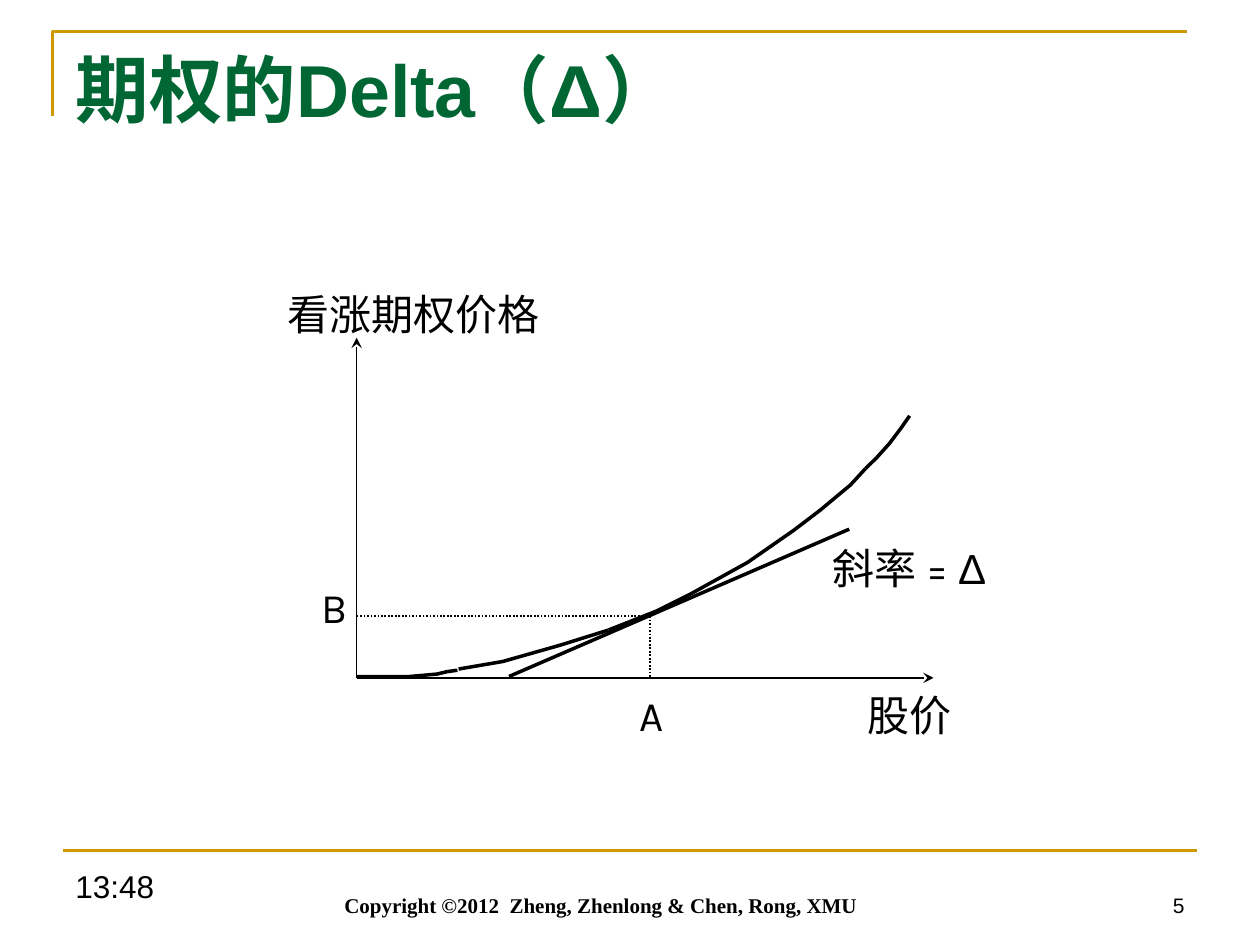
"""Build a slide showing option delta as the slope of the call price curve."""
from lxml import etree
from pptx import Presentation
from pptx.dml.color import RGBColor
from pptx.enum.dml import MSO_LINE
from pptx.enum.shapes import MSO_CONNECTOR
from pptx.enum.text import MSO_ANCHOR, MSO_AUTO_SIZE, PP_ALIGN
from pptx.oxml.ns import qn
from pptx.util import Pt

BLACK = RGBColor(0x00, 0x00, 0x00)
GREEN = RGBColor(0x00, 0x66, 0x33)
GOLD = RGBColor(0xCC, 0x99, 0x00)
STRAIGHT = MSO_CONNECTOR.STRAIGHT
DOTTED = MSO_LINE.ROUND_DOT
TOP, BOTTOM = MSO_ANCHOR.TOP, MSO_ANCHOR.BOTTOM
LEFT, CENTER, RIGHT = PP_ALIGN.LEFT, PP_ALIGN.CENTER, PP_ALIGN.RIGHT
FIXED, GROW = MSO_AUTO_SIZE.NONE, MSO_AUTO_SIZE.SHAPE_TO_FIT_TEXT

ORIGIN_X, ORIGIN_Y = 203.8, 387.4
POINT_A, POINT_B = 371.5, 352.1

prs = Presentation()
prs.slide_width, prs.slide_height = Pt(720), Pt(540)
slide = prs.slides.add_slide(prs.slide_layouts[5])
shapes = slide.shapes


def write(box, runs, frame_format, align, font_format):
    frame = box.text_frame
    for name, value in frame_format.items():
        setattr(frame, name, value)
    paragraph = frame.paragraphs[0]
    paragraph.alignment = align
    for text, font_name, color in runs:
        run = paragraph.add_run()
        run.text = text
        run.font.color.rgb = color
        for name, value in {"name": font_name, **font_format}.items():
            setattr(run.font, name, value)


def draw_path(points, color, width):
    start, *rest = [(Pt(x), Pt(y)) for x, y in points]
    builder = shapes.build_freeform(*start)
    builder.add_line_segments(rest, close=False)
    path_shape = builder.convert_to_shape()
    path_shape.shadow.inherit = False
    path_shape.fill.background()
    path_shape.line.color.rgb = color
    path_shape.line.width = Pt(width)


title = shapes.title
title.left, title.top, title.width, title.height = Pt(36), Pt(21.6), Pt(648), Pt(90)
write(title, [("期权的Delta（Δ）", "Arial", GREEN)],
      {"vertical_anchor": TOP, "auto_size": FIXED, "word_wrap": True},
      LEFT, {"size": Pt(42), "bold": True})

draw_path([(30.2, 66.2), (30.2, 18), (678.2, 18)], GOLD, 1.5)

straight_lines = [
    ((36, 486), (684, 486), GOLD, 1.5, None, False),
    ((ORIGIN_X, ORIGIN_Y), (ORIGIN_X, 193), BLACK, 1, None, True),
    ((ORIGIN_X, ORIGIN_Y), (533.5, ORIGIN_Y), BLACK, 1, None, True),
    ((POINT_A, POINT_B), (POINT_A, ORIGIN_Y), BLACK, 1, DOTTED, False),
    ((POINT_A, POINT_B), (ORIGIN_X, POINT_B), BLACK, 1, DOTTED, False),
]
for start, end, color, width, dash, has_arrow in straight_lines:
    connector = shapes.add_connector(STRAIGHT, *map(Pt, start + end))
    connector.line.color.rgb = color
    connector.line.width = Pt(width)
    if dash:
        connector.line.dash_style = dash
    properties = connector._element.spPr
    if has_arrow:
        etree.SubElement(properties.find(qn("a:ln")), qn("a:tailEnd"), type="stealth")
    etree.SubElement(properties, qn("a:effectLst"))

price_curve = [
    [(203.8, 386.6), (208.8, 386.6), (221.8, 386.6), (234, 386.6),
     (249.8, 385.2), (255.6, 383.8), (261.4, 383)],
    [(262.1, 382.3), (287.3, 378), (320.4, 368.6), (347.8, 360)],
    [(347.8, 360), (375.1, 349.2), (395.3, 339.1), (427.7, 321.1)],
    [(427.7, 321.1), (453.6, 303.1), (468.7, 291.6), (486, 277.2), (494.6, 267.8)],
    [(494.6, 267.8), (501.1, 261.4), (508.3, 253.4), (514.8, 244.8), (519.8, 237.6)],
]
tangent = [(290.9, 386.6), (485.3, 302.4)]
for points in price_curve + [tangent]:
    draw_path(points, BLACK, 2)

diagram_labels = [
    (156.2, 161.3, 159.8, CENTER, [("看涨期权价格", "Karla", BLACK)]),
    (358.6, 390.2, 31, LEFT, [("A", "Karla", BLACK)]),
    (176.4, 329, 31, LEFT, [("B", "Karla", BLACK)]),
    (468.7, 306.7, 116.6, LEFT, [("斜率 = ", "Karla", BLACK), ("Δ", "Arial", BLACK)]),
    (488.9, 390.2, 63.4, LEFT, [("股价", "Karla", BLACK)]),
]
for left, top, width, align, runs in diagram_labels:
    label = shapes.add_textbox(Pt(left), Pt(top), Pt(width), Pt(36.7))
    write(label, runs, {"word_wrap": False, "auto_size": GROW}, align, {"size": Pt(24)})

footers = [
    (36, 167.8, TOP, LEFT, "13:48", "Arial", 18, False),
    (129.6, 427.7, BOTTOM, CENTER, "Copyright ©2012  Zheng, Zhenlong & Chen, Rong, XMU",
     "Times New Roman", 12, True),
    (516.2, 167.8, BOTTOM, RIGHT, "5", "Arial", 12, False),
]
for left, width, anchor, align, text, font_name, size, bold in footers:
    footer = shapes.add_textbox(Pt(left), Pt(491.8), Pt(width), Pt(36))
    write(footer, [(text, font_name, BLACK)],
          {"vertical_anchor": anchor, "word_wrap": True},
          align, {"size": Pt(size), "bold": bold})

prs.save("out.pptx")
